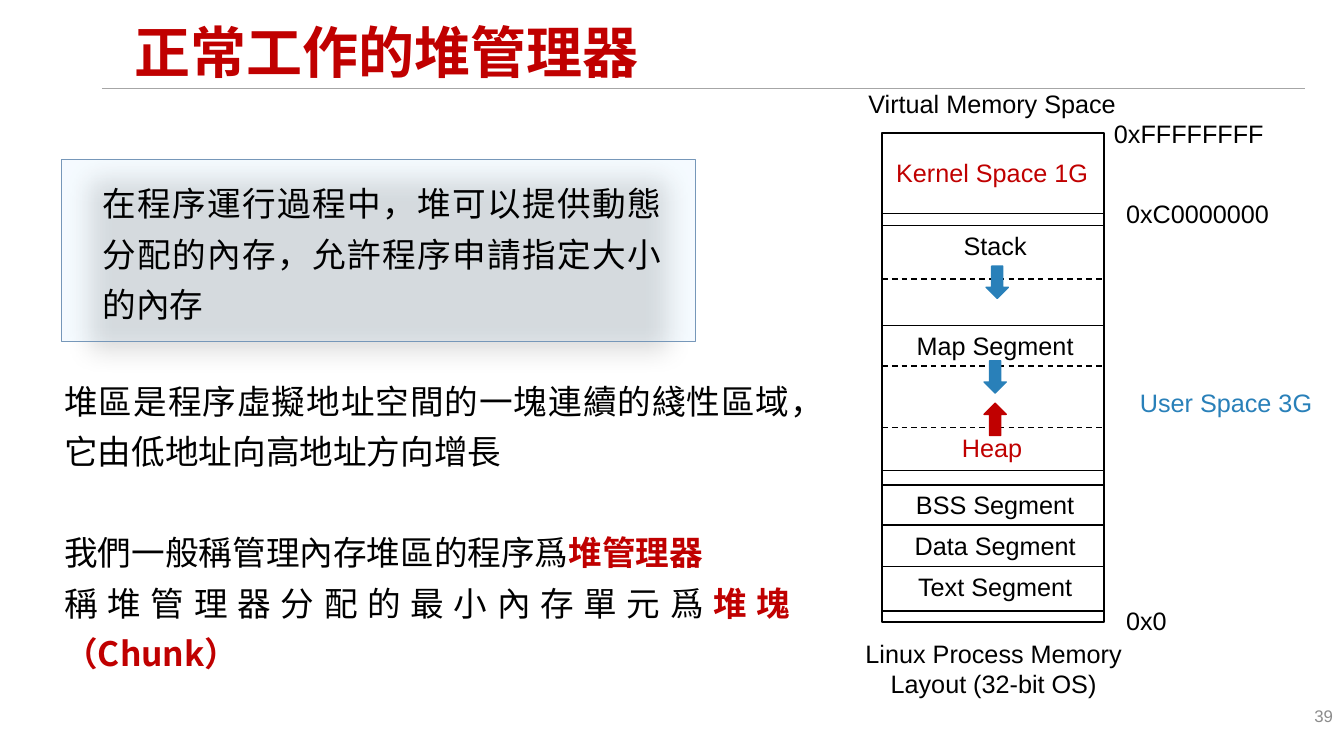
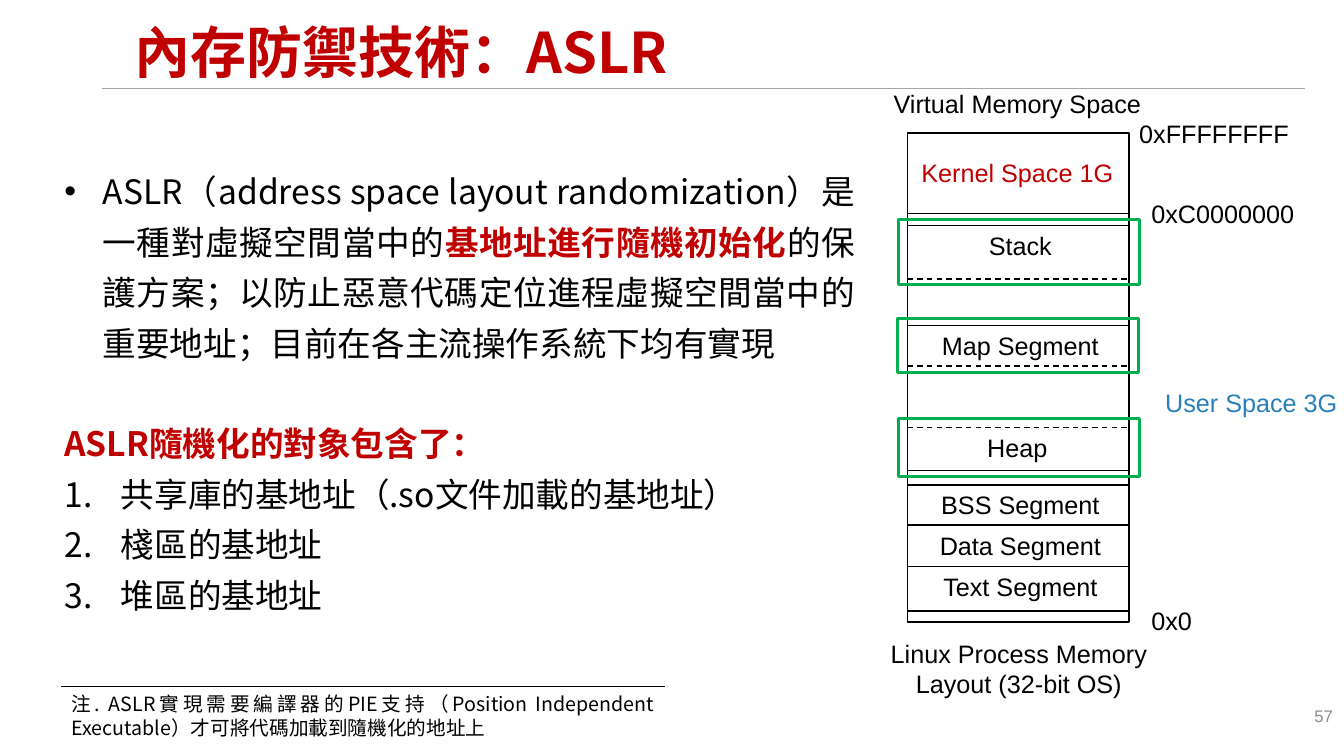
from dataclasses import dataclass
from typing import Any, NamedTuple, Optional

import lxml.etree
import pptx
import pptx.dml.color
import pptx.enum.dml
import pptx.enum.shapes
import pptx.enum.text
import pptx.oxml.ns
import pptx.util

Inches = pptx.util.Inches
Pt = pptx.util.Pt
qn = pptx.oxml.ns.qn
Align = pptx.enum.text.PP_ALIGN
Preset = pptx.enum.shapes.MSO_SHAPE

COLORS = {
    "black": "000000",
    "red": "C00000",
    "blue": "2980B9",
    "green": "00B050",
    "rule": "A6A6A6",
    "number": "8C8C8C",
    "panel": "BFE4FF",
    "panel_edge": "7697B9",
}
CJK = "Noto Sans CJK SC"
LATIN = "Arial"
TOWER_WIDTH = 2.2


class Box(NamedTuple):
    left: float
    top: float
    width: float
    height: float

    def lengths(self) -> list[int]:
        return [Inches(value) for value in self]


@dataclass(frozen=True)
class Span:
    text: str
    color: str = "black"
    bold: bool = False


@dataclass(frozen=True)
class Para:
    spans: tuple[Span, ...]
    bullet: Optional[str] = None
    indent: float = 0
    before: float = 0


@dataclass(frozen=True)
class Label:
    """A text beside or inside the memory tower; left is counted from the tower."""
    text: str
    left: float
    top: float
    width: float
    height: float = 0.4
    color: str = "black"
    align: Any = Align.CENTER


@dataclass(frozen=True)
class Arrow:
    left: float
    top: float
    color: str
    rotation: int = 0


LABELS = (
    Label("Virtual Memory Space", -0.25, 0.83, 2.68),
    Label("Kernel Space 1G", -0.01, 1.51, 2.2, color="red"),
    Label("Stack", 0.03, 2.24, 2.18),
    Label("Map Segment", 0.03, 3.23, 2.18),
    Label("BSS Segment", 0.03, 4.81, 2.18),
    Label("Data Segment", 0.03, 5.21, 2.18),
    Label("Text Segment", 0.03, 5.62, 2.18),
    Label("0xFFFFFFFF", 2.2, 1.12, 1.71, align=Align.LEFT),
    Label("0xC0000000", 2.32, 1.92, 1.71, align=Align.LEFT),
    Label("0x0", 2.32, 5.96, 1.71, align=Align.LEFT),
    Label("User Space 3G", 2.32, 3.79, 2.18, color="blue"),
    Label("Linux Process Memory Layout (32-bit OS)", -0.63, 6.28, 3.47, 0.71),
)
SOLID_BORDERS = (2.12, 2.24, 3.23, 4.67, 4.81, 5.21, 5.62, 6.06)
DASHED_BORDERS = (2.77, 3.63, 4.24)
GROWTH_ARROWS = (
    Arrow(9.78, 2.64, "blue"),
    Arrow(9.76, 3.58, "blue"),
    Arrow(9.76, 4, "red", 180),
)
RANDOMIZED_AREAS = (
    Box(8.91, 4.15, 2.39, 0.58),
    Box(8.91, 2.18, 2.39, 0.64),
    Box(8.9, 3.16, 2.39, 0.54),
)

CHUNK_TEXT = (
    Para((Span("堆區是程序虛擬地址空間的一塊連續的綫性區域，它由低地址向高地址方向增長"),)),
    Para((Span("我們一般稱管理內存堆區的程序爲"), Span("堆管理器", "red", True)), before=36),
    Para((Span("稱堆管理器分配的最小內存單元爲"), Span("堆塊（Chunk）", "red", True))),
)
HEAP_TEXT = (
    Para((Span("在程序運行過程中，堆可以提供動態分配的內存，允許程序申請指定大小的內存"),)),
)
ASLR_TEXT = (
    Para((
        Span("ASLR（address space layout randomization）是一種對虛擬空間當中的"),
        Span("基地址進行隨機初始化", "red", True),
        Span("的保護方案；以防止惡意代碼定位進程虛擬空間當中的重要地址；"
             "目前在各主流操作系統下均有實現"),
    ), bullet="•", indent=0.38),
    Para((Span("ASLR隨機化的對象包含了：", "red", True),), before=36),
) + tuple(
    Para((Span(text),), bullet="1.", indent=0.56)
    for text in ("共享庫的基地址（.so文件加載的基地址）", "棧區的基地址", "堆區的基地址")
)
ASLR_NOTE = (
    Para((Span("注. ASLR實現需要編譯器的PIE支持（Position Independent Executable）"
               "才可將代碼加載到隨機化的地址上"),)),
)


def rgb(name: str) -> pptx.dml.color.RGBColor:
    return pptx.dml.color.RGBColor.from_string(COLORS[name])


def add_bullet(para: Any, bullet: str, indent: float) -> None:
    properties = para._p.get_or_add_pPr()
    properties.set("marL", str(Inches(indent)))
    properties.set("indent", str(-Inches(indent)))
    if bullet == "1.":
        lxml.etree.SubElement(properties, qn("a:buAutoNum"), type="arabicPeriod")
    else:
        lxml.etree.SubElement(properties, qn("a:buFont"), typeface=LATIN)
        lxml.etree.SubElement(properties, qn("a:buChar"), char=bullet)


def add_text(shapes: Any, box: Box, paras: tuple[Para, ...], *, size: float,
             font: str = CJK, align: Any = Align.JUSTIFY, line_spacing: Any = None,
             anchor: Any = pptx.enum.text.MSO_ANCHOR.TOP, grow: bool = True) -> None:
    frame = shapes.add_textbox(*box.lengths()).text_frame
    frame.word_wrap = True
    frame.vertical_anchor = anchor
    if grow:
        frame.auto_size = pptx.enum.text.MSO_AUTO_SIZE.SHAPE_TO_FIT_TEXT
    for index, source in enumerate(paras):
        para = frame.add_paragraph() if index else frame.paragraphs[0]
        para.alignment = align
        if line_spacing:
            para.line_spacing = line_spacing
        if source.before:
            para.space_before = Pt(source.before)
        if source.bullet:
            add_bullet(para, source.bullet, source.indent)
        for span in source.spans:
            run = para.add_run()
            run.text = span.text
            run.font.size = Pt(size)
            run.font.name = font
            run.font.bold = span.bold
            run.font.color.rgb = rgb(span.color)
            latin = run.font._element.find(qn("a:latin"))
            latin.addnext(latin.makeelement(qn("a:ea"), {"typeface": font}))


def add_line(shapes: Any, left: float, right: float, top: float,
             color: str = "black", dashed: bool = False) -> None:
    connector = shapes.add_connector(
        pptx.enum.shapes.MSO_CONNECTOR.STRAIGHT,
        Inches(left), Inches(top), Inches(right), Inches(top))
    connector.line.color.rgb = rgb(color)
    connector.line.width = Pt(1)
    if dashed:
        connector.line.dash_style = pptx.enum.dml.MSO_LINE.DASH
    lxml.etree.SubElement(connector._element.spPr, qn("a:effectLst"))


def add_outline(shapes: Any, box: Box, color: str, width: float = 1,
                fill: Optional[str] = None, preset: Any = Preset.RECTANGLE) -> Any:
    shape = shapes.add_shape(preset, *box.lengths())
    shape.shadow.inherit = False
    shape.line.color.rgb = rgb(color)
    shape.line.width = Pt(width)
    if fill:
        shape.fill.solid()
        shape.fill.fore_color.rgb = rgb(fill)
    else:
        shape.fill.background()
    return shape


def add_panel(shapes: Any, box: Box) -> None:
    """Draw a pale translucent box with a soft shadow below it."""
    properties = add_outline(shapes, box, "panel_edge", 0.5, "panel")._element.spPr
    fill = properties.find(qn("a:solidFill")).find(qn("a:srgbClr"))
    lxml.etree.SubElement(fill, qn("a:alpha"), val="15000")
    shadow = lxml.etree.SubElement(
        properties.find(qn("a:effectLst")), qn("a:outerShdw"),
        blurRad=str(Pt(20)), dist=str(Pt(10)), dir="5400000",
        sx="90000", sy="90000", algn="ctr", rotWithShape="0")
    shade = lxml.etree.SubElement(shadow, qn("a:srgbClr"), val=COLORS["black"])
    lxml.etree.SubElement(shade, qn("a:alpha"), val="15000")


def add_memory_tower(shapes: Any, left: float, heap_color: str) -> None:
    add_outline(shapes, Box(left, 1.32, TOWER_WIDTH, 4.85), "black")
    for borders, dashed in ((SOLID_BORDERS, False), (DASHED_BORDERS, True)):
        for top in borders:
            add_line(shapes, left, left + TOWER_WIDTH, top, dashed=dashed)
    for label in LABELS + (Label("Heap", -0.03, 4.24, 2.24, color=heap_color),):
        add_text(shapes, Box(left + label.left, label.top, label.width, label.height),
                 (Para((Span(label.text, label.color),)),),
                 size=18, font=LATIN, align=label.align)


def add_page(deck: Any, title: str, number: int) -> Any:
    page = deck.slides.add_slide(deck.slide_layouts[6])
    add_line(page.shapes, 1.01, 12.94, 0.88, "rule")
    add_text(page.shapes, Box(1.24, 0.15, 11.18, 0.79),
             (Para((Span(title, "red", True),)),), size=40, align=Align.LEFT,
             line_spacing=0.9, anchor=pptx.enum.text.MSO_ANCHOR.MIDDLE, grow=False)
    add_text(page.shapes, Box(10.21, 6.95, 3.11, 0.4),
             (Para((Span(str(number), "number"),)),), size=12, font=LATIN,
             align=Align.RIGHT, grow=False)
    return page


def add_body(shapes: Any, box: Box, paras: tuple[Para, ...]) -> None:
    add_text(shapes, box, paras, size=24, line_spacing=Pt(36))


def build_heap_page(deck: Any) -> None:
    shapes = add_page(deck, "正常工作的堆管理器", 39).shapes
    add_body(shapes, Box(0.54, 3.63, 7.4, 2.59), CHUNK_TEXT)
    add_memory_tower(shapes, 8.75, "red")
    for arrow in GROWTH_ARROWS:
        shape = add_outline(shapes, Box(arrow.left, arrow.top, 0.22, 0.32),
                            arrow.color, fill=arrow.color, preset=Preset.DOWN_ARROW)
        shape.rotation = arrow.rotation
    add_panel(shapes, Box(0.61, 1.58, 6.29, 1.81))
    add_body(shapes, Box(0.92, 1.67, 5.74, 1.57), HEAP_TEXT)


def build_aslr_page(deck: Any) -> None:
    shapes = add_page(deck, "內存防禦技術：ASLR", 57).shapes
    add_body(shapes, Box(0.54, 1.55, 8.04, 4.6), ASLR_TEXT)
    add_line(shapes, 0.61, 6.6, 6.81)
    add_text(shapes, Box(0.61, 6.82, 5.98, 0.57), ASLR_NOTE, size=14)
    add_memory_tower(shapes.add_group_shape().shapes, 9, "black")
    for area in RANDOMIZED_AREAS:
        add_outline(shapes, area, "green", 2)


def main() -> None:
    deck = pptx.Presentation()
    deck.slide_width = Inches(13.33)
    deck.slide_height = Inches(7.5)
    build_heap_page(deck)
    build_aslr_page(deck)
    deck.save("out.pptx")


if __name__ == "__main__":
    main()
